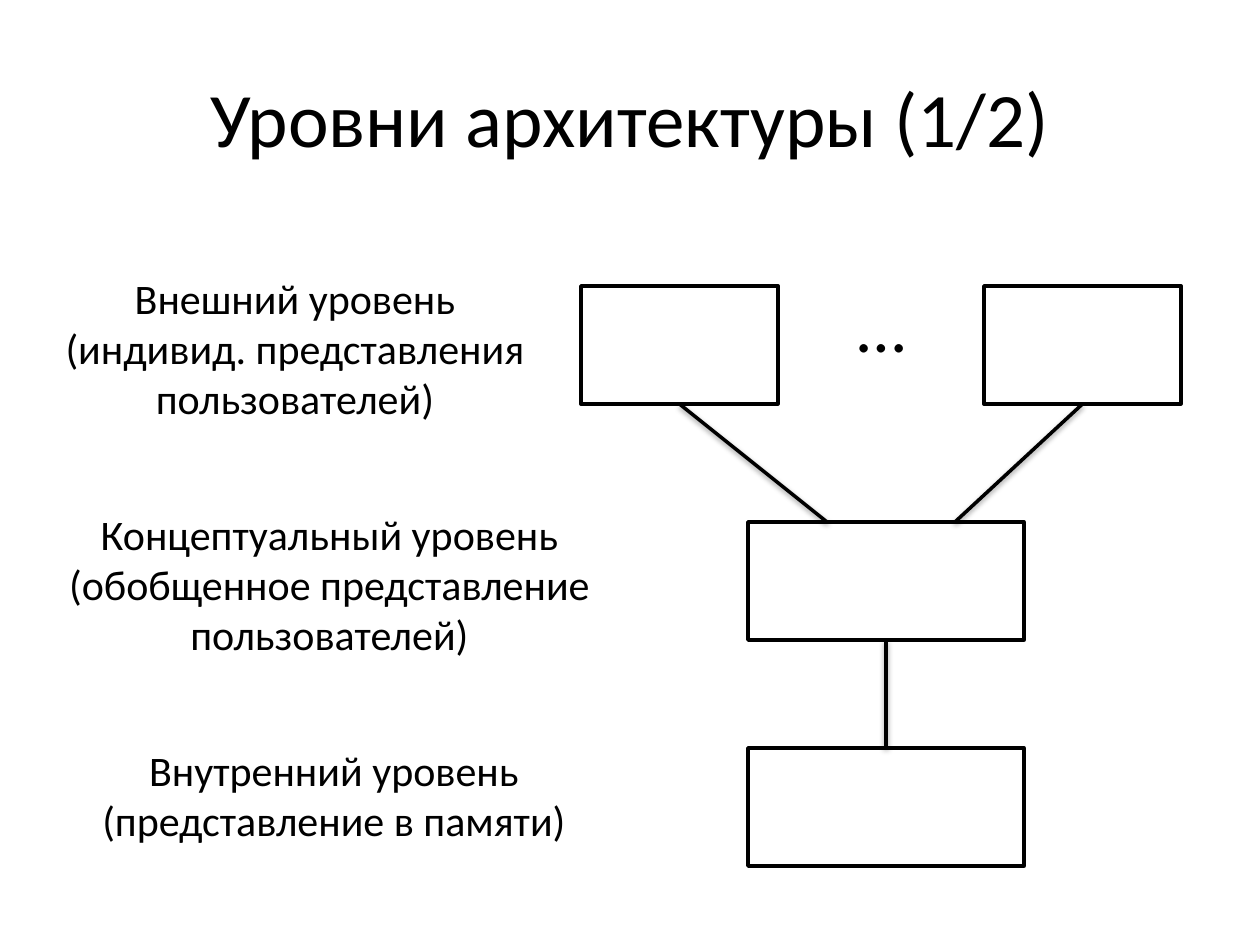
from lxml import etree
from pptx import Presentation
from pptx.dml.color import RGBColor
from pptx.enum.shapes import MSO_CONNECTOR, MSO_SHAPE
from pptx.enum.text import MSO_ANCHOR, PP_ALIGN
from pptx.oxml import parse_xml
from pptx.util import Emu, Pt

RECT = MSO_SHAPE.RECTANGLE
LINE = MSO_CONNECTOR.STRAIGHT
TOP, MID = MSO_ANCHOR.TOP, MSO_ANCHOR.MIDDLE
MAIN = "http://schemas.openxmlformats.org/drawingml/2006/main"
SCALE = 914400 / 126

THEME = {
    "ink": RGBColor(0, 0, 0),
    "paper": RGBColor(255, 255, 255),
    "font": "Calibri",
    "title": Pt(44),
    "label": Pt(24),
    "dots": Pt(40),
    "line": Pt(2),
}
SHADE = (
    f'<a:effectLst xmlns:a="{MAIN}">'
    '<a:outerShdw blurRad="40000" dist="20000" dir="5400000" rotWithShape="0">'
    '<a:srgbClr val="000000"><a:alpha val="38000"/></a:srgbClr>'
    '</a:outerShdw></a:effectLst>'
)


def px(*nums):
    return [Emu(round(n * SCALE)) for n in nums]


deck = Presentation()
deck.slide_width, deck.slide_height = px(1260, 945)
slide = deck.slides.add_slide(deck.slide_layouts[6])

texts = [
    ("title", MID, (63, 38, 1134, 158), ["Уровни архитектуры (1/2)"]),
    ("label", TOP, (39, 266, 512, 165),
     ["Внешний уровень", "(индивид. представления пользователей)"]),
    ("label", TOP, (39, 502, 581, 165),
     ["Концептуальный уровень", "(обобщенное представление пользователей)"]),
    ("label", TOP, (78, 738, 512, 115),
     ["Внутренний уровень", "(представление в памяти)"]),
    ("dots", TOP, (808, 276, 147, 97), ["…"]),
]
for size, anchor, place, lines in texts:
    frame = slide.shapes.add_textbox(*px(*place)).text_frame
    frame.word_wrap = True
    frame.vertical_anchor = anchor
    frame.text = "\n".join(lines)
    style = {"name": THEME["font"], "size": THEME[size]}
    for para in frame.paragraphs:
        para.alignment = PP_ALIGN.CENTER
        for key, value in style.items():
            setattr(para.font, key, value)
        para.font.color.rgb = THEME["ink"]

boxes = {}
for name, left, top, width in [
    ("first", 581, 286, 197),
    ("last", 984, 286, 197),
    ("inner", 748, 748, 276),
    ("concept", 748, 522, 276),
]:
    box = slide.shapes.add_shape(RECT, *px(left, top, width, 118))
    box.shadow.inherit = False
    box.fill.solid()
    box.fill.fore_color.rgb = THEME["paper"]
    box.line.color.rgb = THEME["ink"]
    box.line.width = THEME["line"]
    boxes[name] = box

for start, end, ends in [
    ("first", None, (680, 404, 827, 522)),
    ("last", None, (1082, 404, 955, 522)),
    ("concept", "inner", (886, 640, 886, 748)),
]:
    link = slide.shapes.add_connector(LINE, *px(*ends))
    link.begin_connect(boxes[start], 2)
    if end:
        link.end_connect(boxes[end], 0)
    link.line.color.rgb = THEME["ink"]
    link.line.width = THEME["line"]
    etree.strip_elements(link._element.spPr, f"{{{MAIN}}}effectLst")
    link._element.spPr.append(parse_xml(SHADE))

deck.save("out.pptx")
